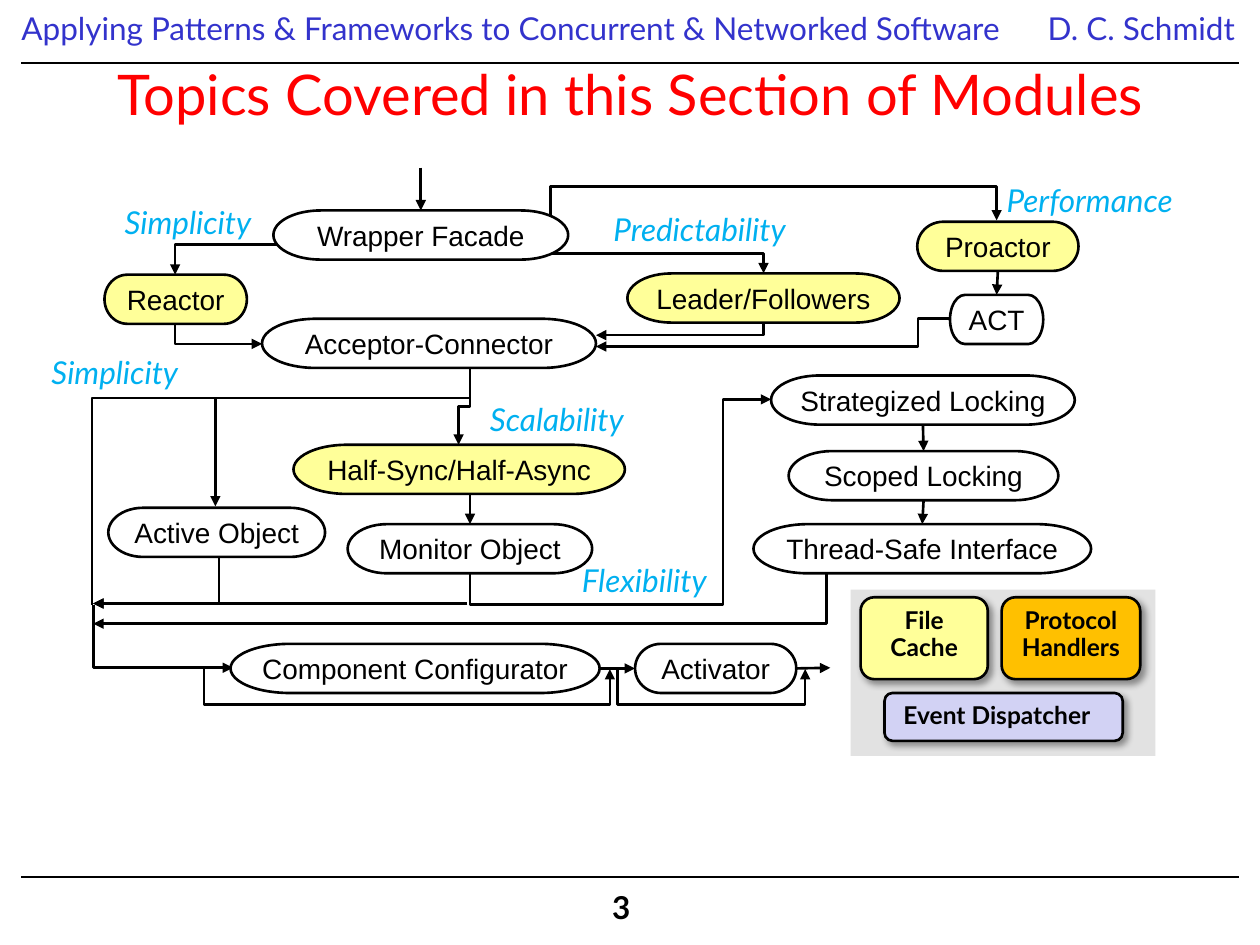
"""Build the slide that maps concurrency patterns and the forces between them."""
from lxml import etree
from pptx import Presentation
from pptx import util as u
from pptx.dml.color import RGBColor
from pptx.enum import shapes, text
from pptx.oxml import ns

INK = {"black": "000000", "white": "FFFFFF", "blue": "3333CC", "red": "FF0000",
       "sky": "00B0F0", "yellow": "FFFF99", "orange": "FFC000",
       "lilac": "D2D2F4", "grey": "E2E2E2"}
KIND = shapes.MSO_SHAPE
ALIGN = text.PP_ALIGN
MID = text.MSO_ANCHOR.MIDDLE
TOP = text.MSO_ANCHOR.TOP
HIGH = 0.39

NODES = {
    "Reactor": (0.83, 2.18, 1.13, "yellow"),
    "Strategized Locking": (6.12, 2.98, 2.41, "white"),
    "Scoped Locking": (6.26, 3.58, 2.14, "white"),
    "Half-Sync/Half-Async": (2.33, 3.53, 2.63, "yellow"),
    "Acceptor-Connector": (2.08, 2.53, 2.65, "white"),
    "Monitor Object": (2.76, 4.16, 1.94, "white"),
    "Wrapper Facade": (2.17, 1.67, 2.34, "white"),
    "ACT": (7.54, 2.34, 0.74, "white"),
    "Proactor": (7.28, 1.76, 1.28, "yellow"),
    "Leader/Followers": (4.98, 2.17, 2.16, "yellow"),
    "Active Object": (0.86, 4.03, 1.72, "white"),
    "Component Configurator": (1.83, 5.11, 2.93, "white"),
    "Activator": (5.04, 5.11, 1.28, "white"),
    "Thread-Safe Interface": (5.98, 4.16, 2.68, "white"),
}
FORCES = [("Predictability", 4.77, 1.65, 1.62), ("Scalability", 3.79, 3.16, 1.31),
          ("Simplicity", 0.31, 2.79, 1.25), ("Flexibility", 4.52, 4.44, 1.23),
          ("Simplicity", 0.89, 1.6, 1.25), ("Performance", 7.89, 1.42, 1.6)]
BENDS = [
    ((2.51, 1.94), (1.39, 2.18), False, (), True),
    ((1.39, 2.57), (2.08, 2.73), True, (), True),
    ((4.22, 2.01), (6.06, 2.17), False, (), True),
    ((6.06, 2.49), (4.73, 2.66), True, (), True),
    ((3.72, 3.16), (0.73, 4.8), False, (1,), False),
    ((3.73, 2.92), (3.64, 3.53), True, (0.5,), True),
    ((3.73, 4.55), (6.12, 3.17), True, (-0.18, 0.84), True),
    ((0.74, 4.8), (1.85, 5.3), False, (0,), True),
    ((7.54, 2.53), (4.73, 2.75), False, (0.09,), True),
    ((3.7, 3.16), (1.71, 4.02), False, (1,), True),
    ((6.56, 4.55), (0.74, 4.95), False, (0,), True),
    ((1.74, 4.43), (0.74, 4.79), False, (0,), True),
]
LINKS = [
    ((3.34, 1.33), (3.34, 1.67), None, ("Wrapper Facade", 0)),
    ((7.33, 3.37), (7.33, 3.58), ("Strategized Locking", 2), ("Scoped Locking", 0)),
    ((7.33, 3.97), (7.32, 4.16), ("Scoped Locking", 2), ("Thread-Safe Interface", 0)),
    ((3.73, 3.92), (3.73, 4.16), None, ("Monitor Object", 0)),
    ((7.92, 2.15), (7.92, 2.34), ("Proactor", 2), ("ACT", 0)),
    ((4.76, 5.3), (5.04, 5.3), ("Component Configurator", 3), ("Activator", 1)),
    ((6.32, 5.3), (6.59, 5.3), ("Activator", 3), None),
    ((3.71, 4.79), (0.74, 4.79), None, None),
]
LOOPS = [(4.37, 1.72, 1.48, 7.91, 1.75), (1.62, 5.31, 5.59, 4.84, 5.31),
         (4.9, 5.31, 5.59, 6.39, 5.31)]
CARDS = [
    ("File\nCache", "yellow", (6.83, 4.74, 1.01, 0.65), (7.04, 4.83, 0.59, 0.47), ALIGN.CENTER, False),
    ("Protocol\nHandlers", "orange", (7.95, 4.74, 1.1, 0.65), (8.08, 4.83, 0.84, 0.47), ALIGN.CENTER, False),
    ("Event Dispatcher", "lilac", (7.02, 5.5, 1.89, 0.38), (7.17, 5.58, 1.6, 0.24), ALIGN.LEFT, True),
]


def rgb(ink):
    """Return the named colour."""
    return RGBColor.from_string(INK[ink])


def add(parent, tag, **attrs):
    """Append a drawing element with its attributes."""
    return etree.SubElement(parent, ns.qn(tag), attrs)


def write(shape, words, size=18, font="Lato", ink="black", bold=False, slant=False,
          align=ALIGN.LEFT, anchor=TOP, wrap=True, space=0.9, pad=(0.1, 0.05)):
    """Put formatted text into a shape."""
    frame = shape.text_frame
    frame.word_wrap, frame.vertical_anchor = wrap, anchor
    frame.margin_left = frame.margin_right = u.Inches(pad[0])
    frame.margin_top = frame.margin_bottom = u.Inches(pad[1])
    para = frame.paragraphs[0]
    para.text, para.alignment, para.line_spacing = words, align, space
    for run in para.runs:
        face = run.font
        face.size, face.name, face.bold, face.italic = u.Pt(size), font, bold, slant
        face.color.rgb = rgb(ink)


def label(tree, words, box, **style):
    """Add a text box."""
    write(tree.add_textbox(*map(u.Inches, box)), words, **style)


def block(tree, kind, box, fill, edge=True):
    """Add a filled shape, with or without an outline."""
    shape = tree.add_shape(kind, *map(u.Inches, box))
    shape.shadow.inherit = False
    shape.fill.solid()
    shape.fill.fore_color.rgb = rgb(fill)
    if edge:
        stroke(shape)
    else:
        shape.line.fill.background()
    return shape


def stroke(shape, width=1.5, arrow=False):
    """Draw a black line, with an arrowhead at its end if asked."""
    shape.line.color.rgb = rgb("black")
    shape.line.width = u.Pt(width)
    if arrow:
        add(shape.line._get_or_add_ln(), "a:tailEnd", type="triangle")


def wire(tree, start, end, kind=shapes.MSO_CONNECTOR.STRAIGHT, width=1.5, arrow=True):
    """Add a connector without a shadow."""
    line = tree.add_connector(kind, *map(u.Inches, (*start, *end)))
    stroke(line, width, arrow)
    add(line._element.spPr, "a:effectLst")
    return line


def bend(tree, start, end, down, turns, arrow):
    """Add an elbow that leaves sideways, or up or down when down is set."""
    if down:
        mid_x, mid_y = ((a + b) / 2 for a, b in zip(start, end))
        half_x, half_y = ((b - a) / 2 for a, b in zip(start, end))
        start = mid_x - half_y, mid_y + half_x
        end = mid_x + half_y, mid_y - half_x
    line = wire(tree, start, end, shapes.MSO_CONNECTOR.ELBOW, arrow=arrow)
    props = line._element.spPr
    if down:
        props.find(ns.qn("a:xfrm")).set("rot", str(90 * 60000))
    shape = props.find(ns.qn("a:prstGeom"))
    shape.set("prst", f"bentConnector{len(turns) + 2}")
    guides = shape.find(ns.qn("a:avLst"))
    for index, turn in enumerate(turns, 1):
        add(guides, "a:gd", name=f"adj{index}", fmla=f"val {round(turn * 100000)}")


def loop(tree, left, start, level, right, end):
    """Add a three-sided arrow that runs along a level."""
    spots = [tuple(map(u.Inches, spot)) for spot in
             ((left, start), (left, level), (right, level), (right, end))]
    pen = tree.build_freeform(*spots[0])
    pen.add_line_segments(spots[1:], close=False)
    shape = pen.convert_to_shape()
    shape.shadow.inherit = False
    shape.fill.background()
    stroke(shape, arrow=True)


def card(tree, words, fill, box, inner, align, wrap):
    """Add a grouped card with a soft shadow and a bold caption."""
    group = tree.add_group_shape().shapes
    shape = block(group, KIND.ROUNDED_RECTANGLE, box, fill)
    effects = shape._element.spPr.find(ns.qn("a:effectLst"))
    shade = add(effects, "a:outerShdw", blurRad="50800", dist="38100", dir="2700000")
    add(add(shade, "a:srgbClr", val=INK["black"]), "a:alpha", val="40000")
    label(group, words, inner, size=14, bold=True, align=align, wrap=wrap, pad=(0, 0))


def frame(tree):
    """Add the header, the rules, the page number and the title."""
    label(tree, "Applying Patterns & Frameworks to Concurrent & Networked Software",
          (0.17, 0.06, 7.8, 0.37), ink="blue", pad=(0, 0.05))
    label(tree, "D. C. Schmidt", (7.39, 0.06, 2.51, 0.37), ink="blue", align=ALIGN.RIGHT)
    for level in (0.5, 6.96):
        wire(tree, (0.17, level), (9.83, level), width=0.75, arrow=False)
    page = block(tree, KIND.RECTANGLE, (4.76, 7.03, 0.51, 0.4), "white", edge=False)
    write(page, "3", bold=True, wrap=False)
    label(tree, "Topics Covered in this Section of Modules", (0.17, 0.53, 9.67, 0.42),
          size=32, ink="red", align=ALIGN.CENTER, anchor=MID, space=1)


def main():
    """Build and save the slide."""
    deck = Presentation()
    deck.slide_width, deck.slide_height = u.Inches(10), u.Inches(7.5)
    tree = deck.slides.add_slide(deck.slide_layouts[6]).shapes
    frame(tree)
    for item in BENDS:
        bend(tree, *item)
    for item in LOOPS:
        loop(tree, *item)
    nodes = {}
    for name, (left, top, wide, fill) in NODES.items():
        nodes[name] = block(tree, KIND.FLOWCHART_TERMINATOR, (left, top, wide, HIGH), fill)
        write(nodes[name], name, size=16, font="Arial", align=ALIGN.CENTER, anchor=MID, space=1)
    for start, end, source, target in LINKS:
        line = wire(tree, start, end)
        if source:
            line.begin_connect(nodes[source[0]], source[1])
        if target:
            line.end_connect(nodes[target[0]], target[1])
    for name, left, top, wide in FORCES:
        label(tree, name, (left, top, wide, 0.37), ink="sky", slant=True, wrap=False)
    block(tree, KIND.RECTANGLE, (6.75, 4.68, 2.42, 1.32), "grey", edge=False)
    for item in CARDS:
        card(tree, *item)
    deck.save("out.pptx")


if __name__ == "__main__":
    main()
